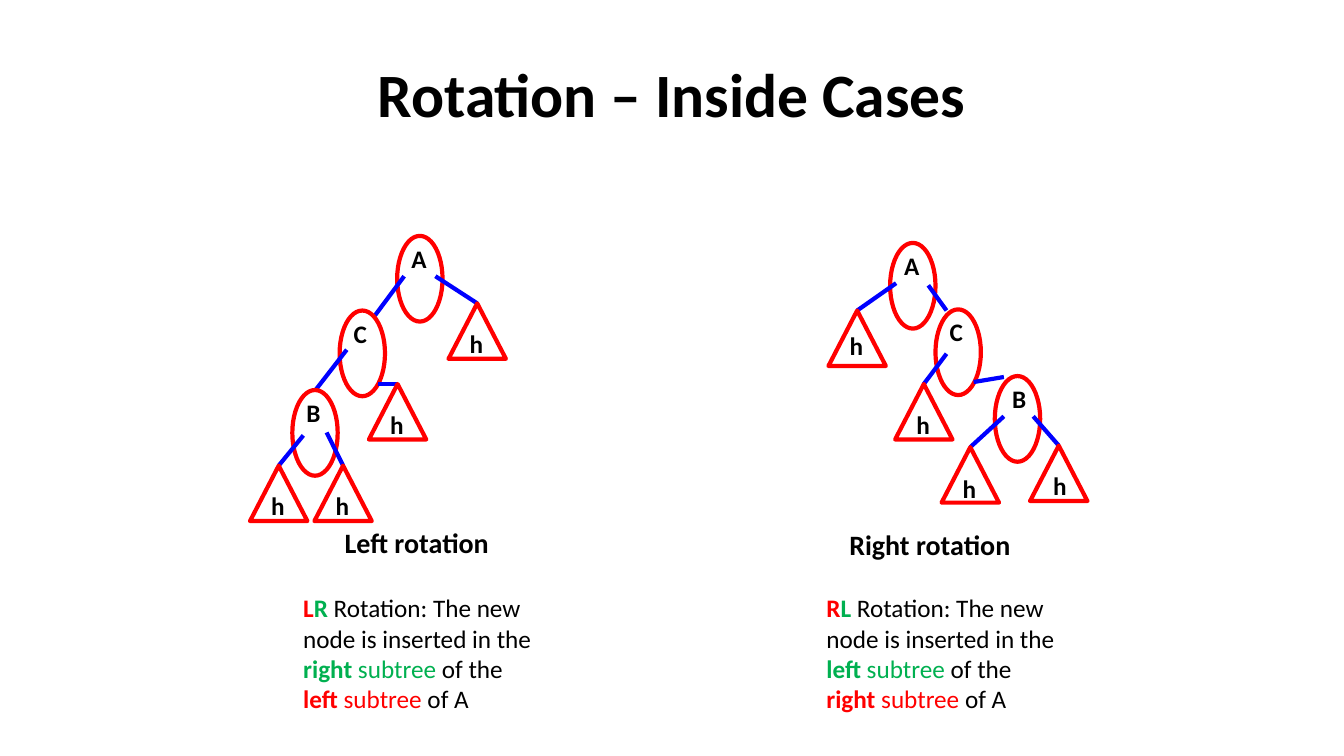
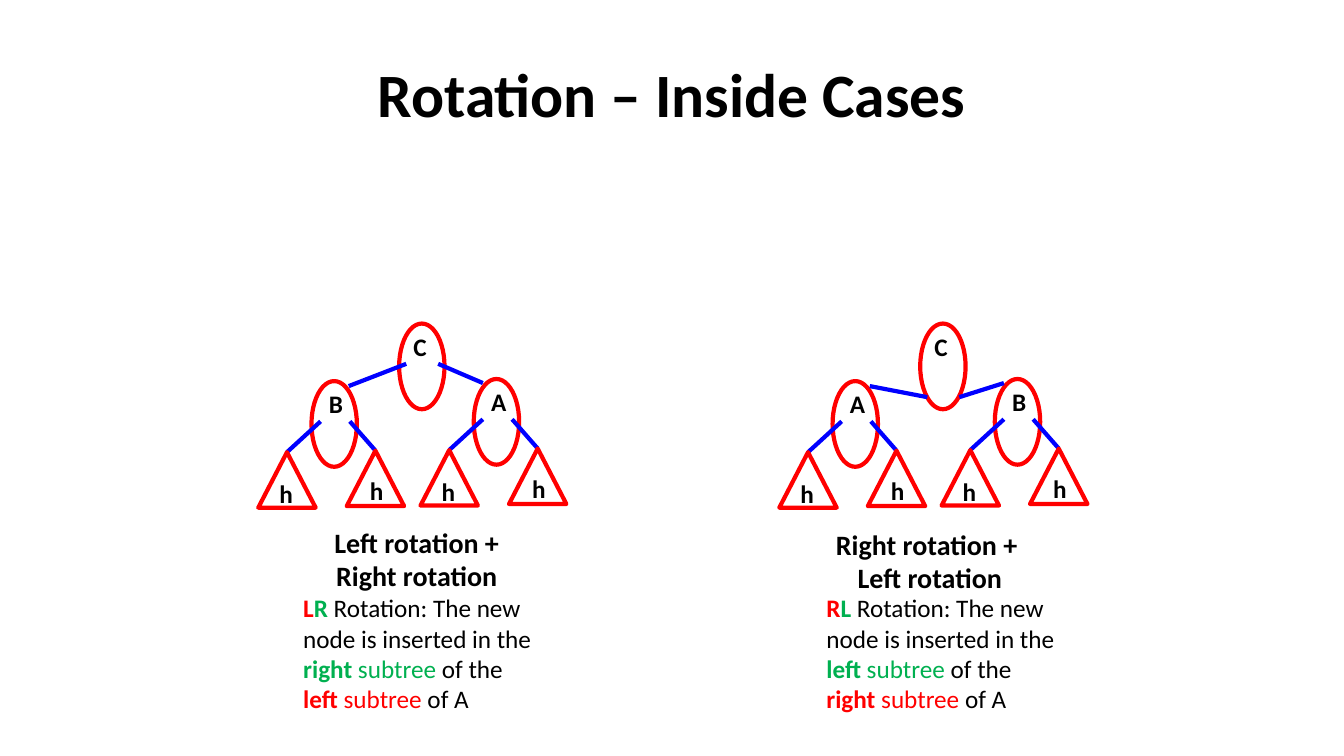
from lxml.etree import SubElement
from pptx import Presentation
from pptx.dml.color import RGBColor
from pptx.enum.shapes import MSO_CONNECTOR, MSO_SHAPE
from pptx.enum.text import MSO_ANCHOR, MSO_AUTO_SIZE, PP_ALIGN
from pptx.oxml.ns import qn
from pptx.util import Pt

BLACK = RGBColor(0x00, 0x00, 0x00)
RED = RGBColor(0xFF, 0x00, 0x00)
GREEN = RGBColor(0x00, 0xB0, 0x50)
BLUE = RGBColor(0x00, 0x00, 0xFF)

FONT = "Calibri"
LINE_WIDTH = 3
NODE_WIDTH, NODE_HEIGHT = 32.4, 61.2
LEAF_WIDTH, LEAF_HEIGHT = 41, 39.6
LABEL_HEIGHT = 44
TREE_GAP = 372.2  # distance between the two rotated trees


class TreeDeck:
    """Holds the style and the current slide; all lengths are in points."""

    def __init__(self):
        self.deck = Presentation()
        self.deck.slide_width, self.deck.slide_height = Pt(960), Pt(540)
        self.page = None

    def add_page(self, title):
        self.page = self.deck.slides.add_slide(self.deck.slide_layouts[6])
        self.text(48, 21.6, 864, 90, [[(title, BLACK, True)]], 44,
                  align=PP_ALIGN.CENTER, anchor=MSO_ANCHOR.MIDDLE)

    def text(self, left, top, width, height, lines, size, margin=3.6,
             align=PP_ALIGN.LEFT, anchor=MSO_ANCHOR.TOP):
        """Add one paragraph; each line is a list of (text, colour, bold)."""
        box = self.page.shapes.add_textbox(Pt(left), Pt(top), Pt(width), Pt(height))
        frame = box.text_frame
        frame.word_wrap = True
        frame.auto_size = MSO_AUTO_SIZE.NONE
        frame.vertical_anchor = anchor
        frame.margin_top = frame.margin_bottom = Pt(margin)
        para = frame.paragraphs[0]
        para.alignment = align
        para.font.size = Pt(size)
        for number, line in enumerate(lines):
            if number:
                para.add_line_break()
            for words, colour, bold in line:
                span = para.add_run()
                span.text = words
                span.font.name = FONT
                span.font.size = Pt(size)
                span.font.bold = bold
                span.font.color.rgb = colour

    def outline(self, kind, left, top, width, height):
        shape = self.page.shapes.add_shape(kind, Pt(left), Pt(top), Pt(width), Pt(height))
        shape.shadow.inherit = False
        shape.fill.background()
        shape.line.color.rgb = RED
        shape.line.width = Pt(LINE_WIDTH)

    def label(self, left, top, letter):
        self.text(left, top, NODE_WIDTH, LABEL_HEIGHT, [[(letter, BLACK, True)]], 18,
                  margin=10.8)

    def node(self, letter, left, top, label_shift=3):
        self.outline(MSO_SHAPE.OVAL, left, top, NODE_WIDTH, NODE_HEIGHT)
        self.label(left + label_shift, top - 5.5, letter)

    def edge(self, start, end):
        x1, y1, x2, y2 = (Pt(value) for value in (*start, *end))
        line = self.page.shapes.add_connector(MSO_CONNECTOR.STRAIGHT, x1, y1, x2, y2)
        line.line.color.rgb = BLUE
        line.line.width = Pt(LINE_WIDTH)
        SubElement(line._element.spPr, qn("a:effectLst"))

    def leaf(self, left, top, parent, label_shift=(8, 7)):
        """Add a subtree of height h and the edge from its parent to its apex."""
        self.edge(parent, (left + LEAF_WIDTH / 2, top))
        self.outline(MSO_SHAPE.ISOSCELES_TRIANGLE, left, top, LEAF_WIDTH, LEAF_HEIGHT)
        self.label(left + label_shift[0], top + label_shift[1], "h")

    def node_with_leaves(self, letter, left, top):
        self.node(letter, left, top, label_shift=5.3)
        self.leaf(left - 38, top + 50.8, (left + 6.5, top + 28.8), (8, 8))
        self.leaf(left + 25.2, top + 49.7, (left + 27.4, top + 28.8), (9.4, 7))

    def captions(self, left_lines, right_lines):
        for left, top, lines in ((190.8, 364.3, left_lines), (557.3, 365.8, right_lines)):
            self.text(left, top, 213.8, 46, [[(line, BLACK, True)] for line in lines], 20,
                      margin=10.8, align=PP_ALIGN.CENTER)

    def rotation_notes(self):
        for left, outer, inner in ((209.5, "left", "right"), (583.2, "right", "left")):
            self.text(left, 419.8, 180, 94.3, [[
                (outer[0].upper(), RED, True),
                (inner[0].upper(), GREEN, True),
                (" Rotation: The new node is inserted in the ", BLACK, False),
                (inner, GREEN, True),
                (" subtree", GREEN, False),
                (" of the ", BLACK, False),
                (outer, RED, True),
                (" subtree", RED, False),
                (" of A", BLACK, False),
            ]], 18)

    def rotated_tree(self, shift, left_letter, right_letter, edge_top):
        self.node("C", 285.1 + shift, 231.1)
        self.node_with_leaves(left_letter, 222.5 + shift, 272.2)
        self.node_with_leaves(right_letter, 338.4 + shift, 270.7)
        self.edge((290.2 + shift, edge_top), (249.1 + shift, 275.8))
        self.edge((313 + shift, edge_top), (344.9 + shift, 273.6))


def add_first_rotation(slides):
    slides.add_page("Rotation – Inside Cases")

    slides.node("A", 283.7, 168.5)
    slides.leaf(320.4, 216.7, (311, 197.3))
    slides.edge((288.7, 197.3), (267.8, 225.4))
    slides.node("C", 242.6, 221.8)
    slides.leaf(263.5, 274.3, (270, 274.3))
    slides.edge((247.7, 249.8), (225.4, 278.6))
    slides.node("B", 208.8, 278.6)
    slides.leaf(178.6, 332.6, (216.7, 311))
    slides.leaf(224.6, 332.6, (233.3, 308.9))

    slides.node("A", 635.8, 173.5)
    slides.leaf(591.8, 221.8, (640.1, 202.3), (8, 3.6))
    slides.edge((663.1, 203.8), (676.1, 221.8))
    slides.node("C", 668.2, 221)
    slides.leaf(639.4, 274.3, (676.1, 252.7))
    slides.edge((695.5, 272.9), (717.1, 269.3))
    slides.node_with_leaves("B", 710.6, 268.6)

    slides.captions(["Left rotation"], ["Right rotation"])
    slides.rotation_notes()


def add_second_rotation(slides):
    slides.add_page("Rotation – Inside Cases")
    slides.rotated_tree(0, "B", "A", 259.9)
    slides.rotated_tree(TREE_GAP, "A", "B", 283.7)
    slides.captions(["Left rotation +", "Right rotation"],
                    ["Right rotation + ", "Left rotation"])
    slides.rotation_notes()


def main():
    slides = TreeDeck()
    add_first_rotation(slides)
    add_second_rotation(slides)
    slides.deck.save("out.pptx")


if __name__ == "__main__":
    main()
